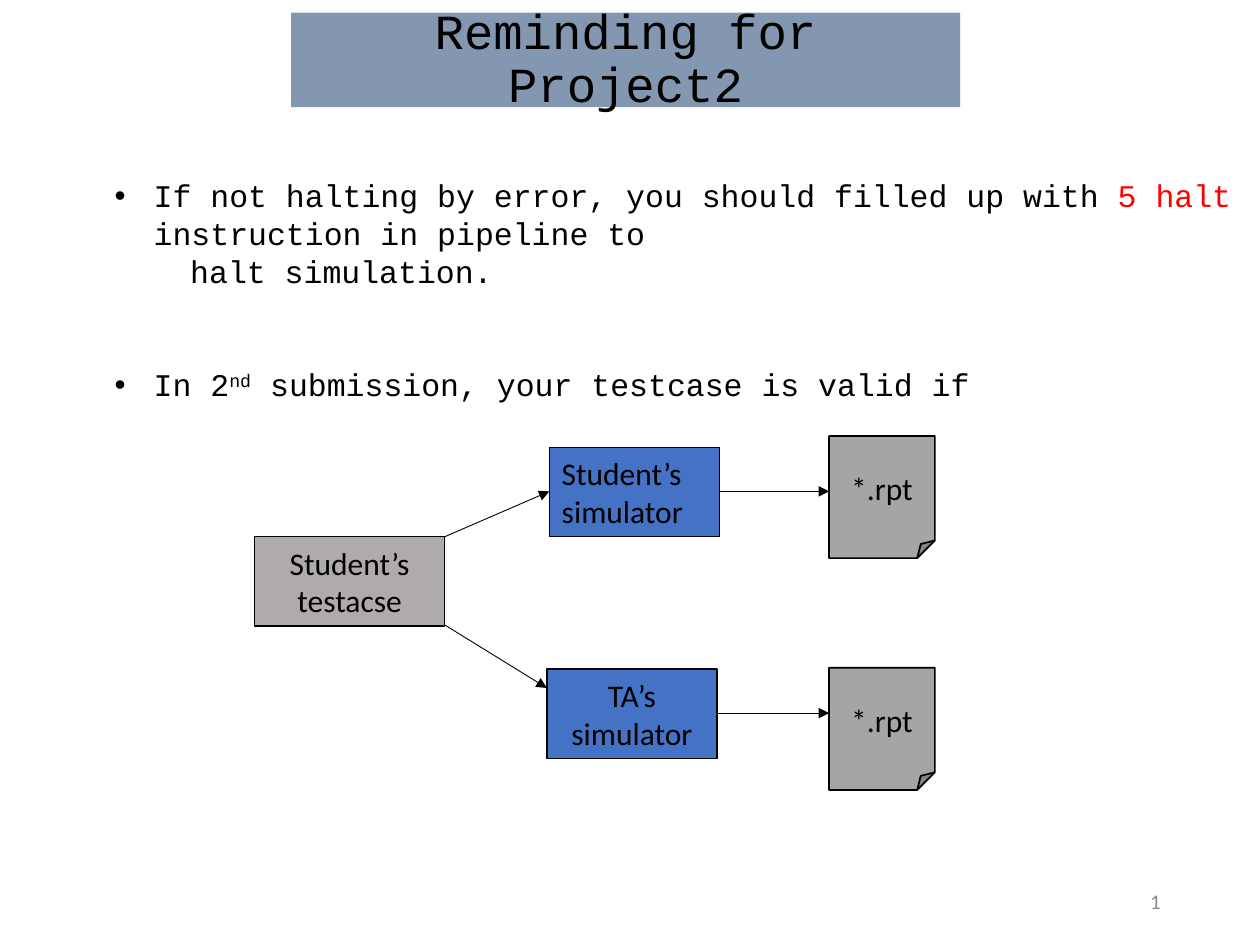
"""Build the Project2 reminder slide with its testcase validation flow."""
from dataclasses import dataclass

from lxml.etree import SubElement
from pptx import Presentation
from pptx.dml.color import RGBColor
from pptx.enum.shapes import MSO_CONNECTOR as Link, MSO_SHAPE as Shape
from pptx.enum.text import MSO_ANCHOR as Anchor, MSO_AUTO_SIZE as AutoSize, PP_ALIGN as Align
from pptx.oxml.ns import qn
from pptx.util import Inches, Pt


@dataclass(frozen=True)
class Theme:
    ink: str = "000000"
    accent: str = "FF0000"
    muted: str = "8C8C8C"
    banner: str = "8497B0"
    testcase: str = "AFABAB"
    simulator: str = "4472C4"
    report: str = "A5A5A5"
    mono: str = "Courier New"
    sans: str = "Calibri"
    title_size: int = 28
    text_size: int = 18
    number_size: int = 12


theme = Theme()


def write(paragraph, text, *, font=theme.sans, size=theme.text_size, color=theme.ink,
          align=Align.LEFT, superscript=False):
    paragraph.alignment = align
    run = paragraph.add_run()
    run.text = text
    run.font.name = font
    run.font.size = Pt(size)
    run.font.color.rgb = RGBColor.from_string(color)
    if superscript:
        run._r.get_or_add_rPr().set("baseline", "30000")
    return run


def place(item, left, top, width, height):
    item.left, item.top = Inches(left), Inches(top)
    item.width, item.height = Inches(width), Inches(height)


prs = Presentation()
prs.slide_width, prs.slide_height = Inches(10), Inches(7.5)
slide = prs.slides.add_slide(prs.slide_layouts[1])
shapes = slide.shapes

title = shapes.title
place(title, 2.31, 0.1, 5.31, 0.75)
title.fill.solid()
title.fill.fore_color.rgb = RGBColor.from_string(theme.banner)
title.text_frame.auto_size = AutoSize.NONE
title.text_frame.vertical_anchor = Anchor.MIDDLE
heading = title.text_frame.paragraphs[0]
heading.line_spacing = 0.9
write(heading, "Reminding for Project2", font=theme.mono, size=theme.title_size, align=Align.CENTER)

body = slide.placeholders[1]
place(body, 0.81, 1.35, 9.11, 1.62)
rules = body.text_frame
rules.word_wrap = True
rules.auto_size = AutoSize.NONE
rules.vertical_anchor = Anchor.TOP
reminders = [
    (True, 0, [("If not halting by error, you should filled up with ", {}),
               ("5 halt", {"color": theme.accent}),
               (" instruction in pipeline to", {})]),
    (False, 0, [("halt simulation.", {})]),
    (True, 43.2, [("In 2", {}), ("nd", {"superscript": True}),
                  (" submission, your testcase is valid if", {})]),
]
for index, (bulleted, gap, pieces) in enumerate(reminders):
    reminder = rules.add_paragraph() if index else rules.paragraphs[0]
    props = reminder._p.get_or_add_pPr()
    props.set("marL", str(Inches(0.31 if bulleted else 0.6)))
    props.set("indent", str(Inches(-0.31 if bulleted else 0)))
    if bulleted:
        SubElement(props, qn("a:buFont")).set("typeface", "Arial")
        SubElement(props, qn("a:buChar")).set("char", "•")
    else:
        SubElement(props, qn("a:buNone"))
    reminder.space_before = Pt(gap)
    reminder.line_spacing = Pt(21.6)
    for text, style in pieces:
        write(reminder, text, font=theme.mono, **style)

flow = [
    (Shape.RECTANGLE, (2.02, 4.26, 1.51, 0.71), theme.testcase, 0.75, Align.CENTER,
     ["Student’s", "testacse"]),
    (Shape.RECTANGLE, (4.36, 3.55, 1.35, 0.71), theme.simulator, 0.75, Align.LEFT,
     ["Student’s", "simulator"]),
    (Shape.RECTANGLE, (4.34, 5.31, 1.35, 0.71), theme.simulator, 0.75, Align.CENTER,
     ["TA’s", "simulator"]),
    (Shape.FOLDED_CORNER, (6.58, 3.46, 0.84, 0.97), theme.report, 1, Align.CENTER, ["*.rpt"]),
    (Shape.FOLDED_CORNER, (6.58, 5.3, 0.84, 0.97), theme.report, 1, Align.CENTER, ["*.rpt"]),
]
for outline, bounds, fill, weight, align, lines in flow:
    step = shapes.add_shape(outline, *map(Inches, bounds))
    step.shadow.inherit = False
    step.fill.solid()
    step.fill.fore_color.rgb = RGBColor.from_string(fill)
    step.line.color.rgb = RGBColor.from_string(theme.ink)
    step.line.width = Pt(weight)
    label = step.text_frame
    label.word_wrap = True
    label.vertical_anchor = Anchor.MIDDLE
    for index, line in enumerate(lines):
        write(label.add_paragraph() if index else label.paragraphs[0], line, align=align)

arrows = [
    (3.53, 4.26, 4.36, 3.9),
    (3.53, 4.96, 4.34, 5.46),
    (5.71, 3.9, 6.58, 3.9),
    (5.69, 5.66, 6.58, 5.66),
]
for ends in arrows:
    arrow = shapes.add_connector(Link.STRAIGHT, *map(Inches, ends))
    arrow.line.color.rgb = RGBColor.from_string(theme.ink)
    arrow.line.width = Pt(0.5)
    SubElement(arrow.line._get_or_add_ln(), qn("a:tailEnd")).set("type", "triangle")
    SubElement(arrow._element.spPr, qn("a:effectLst"))

footer = shapes.add_textbox(Inches(7.06), Inches(6.95), Inches(2.25), Inches(0.4)).text_frame
footer.word_wrap = True
footer.vertical_anchor = Anchor.MIDDLE
page = write(footer.paragraphs[0], "1", size=theme.number_size, color=theme.muted, align=Align.RIGHT)
page._r.tag = qn("a:fld")
page._r.set("id", "{B6F15528-21DE-4FAA-801E-634DDDAF4B2B}")
page._r.set("type", "slidenum")

prs.save("out.pptx")
